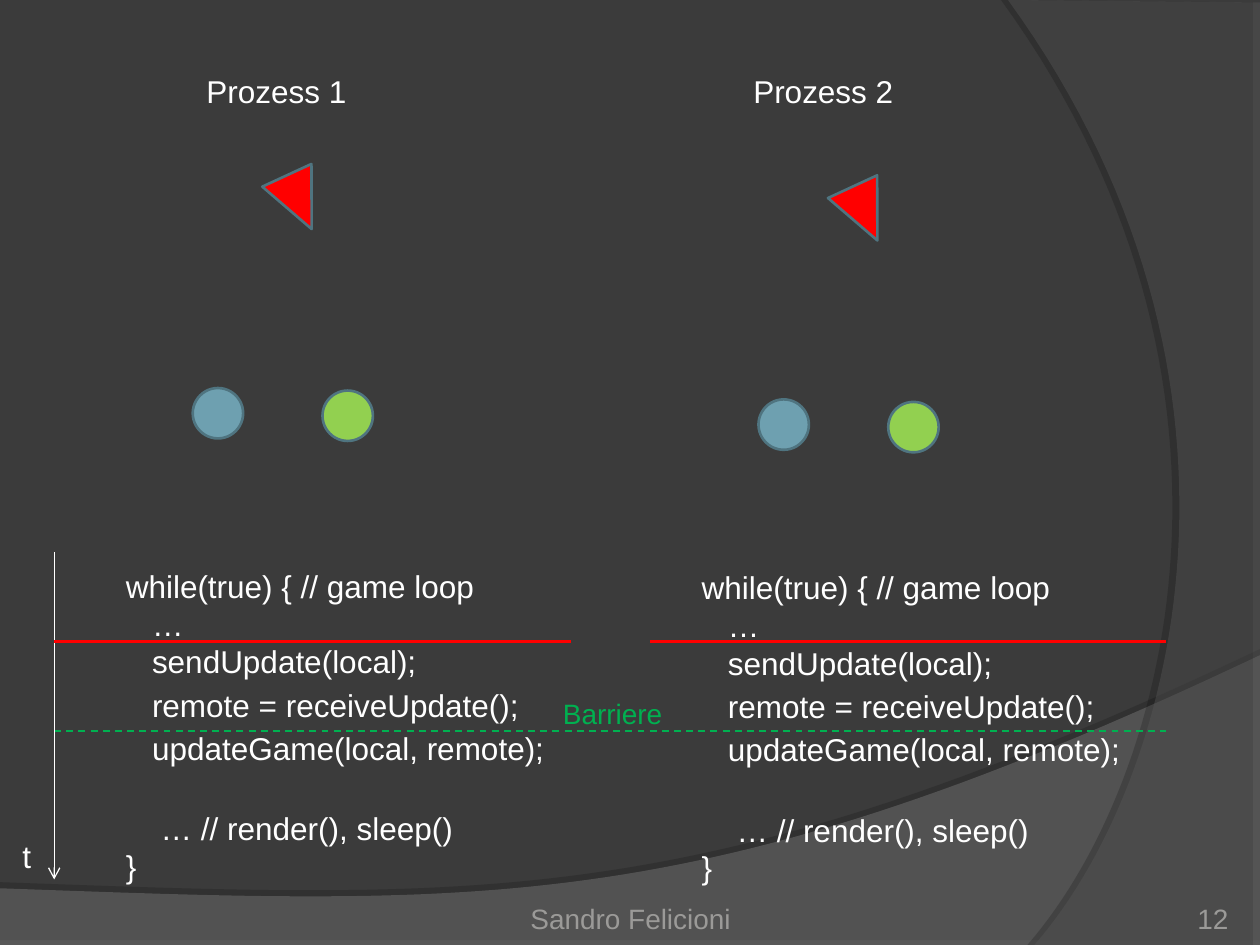
from lxml import etree
from pptx import Presentation
from pptx.dml.color import RGBColor
from pptx.enum.dml import MSO_LINE
from pptx.enum.shapes import MSO_CONNECTOR, MSO_SHAPE
from pptx.enum.text import MSO_ANCHOR, MSO_AUTO_SIZE, PP_ALIGN
from pptx.oxml.ns import qn
from pptx.util import Inches, Pt

STRAIGHT = MSO_CONNECTOR.STRAIGHT
DASH = MSO_LINE.DASH
OVAL = MSO_SHAPE.OVAL
TRIANGLE = MSO_SHAPE.ISOSCELES_TRIANGLE
TOP, BOTTOM = MSO_ANCHOR.TOP, MSO_ANCHOR.BOTTOM
LEFT, CENTER, RIGHT = PP_ALIGN.LEFT, PP_ALIGN.CENTER, PP_ALIGN.RIGHT
FIT = MSO_AUTO_SIZE.SHAPE_TO_FIT_TEXT
FIXED = MSO_AUTO_SIZE.NONE

DARK = RGBColor(0x3B, 0x3B, 0x3B)
GRAY = RGBColor(0x7C, 0x7C, 0x7C)
SLATE = RGBColor(0x59, 0x59, 0x59)
MUTED = RGBColor(0x9B, 0x9A, 0x98)
WHITE = RGBColor(0xFF, 0xFF, 0xFF)
RED = RGBColor(0xFF, 0x00, 0x00)
GREEN = RGBColor(0x00, 0xB0, 0x50)
LIME = RGBColor(0x92, 0xD0, 0x50)
BLUE = RGBColor(0x6E, 0xA0, 0xB0)
EDGE = RGBColor(0x4F, 0x74, 0x80)

# Each line: text, space before, space after (points)
CODE = [
    ("while(true) { // game loop", 0, 0),
    ("   …", 0, 0),
    ("   sendUpdate(local);", 0, 3),
    ("   remote = receiveUpdate();", 0, 3),
    ("   updateGame(local, remote);", 0, 3),
    ("    … // render(), sleep()", 21.6, 0),
    ("}", 0, 0),
]
INSET = (0.1, 0.05, 0.1, 0.05)


def add_text(slide, box, lines, size=18, color=WHITE, align=LEFT,
             anchor=TOP, inset=INSET, wrap=True, fit=FIT):
    """Lines are (text, space before, space after)."""
    frame = slide.shapes.add_textbox(*map(Inches, box)).text_frame
    frame.word_wrap = wrap
    frame.auto_size = fit
    frame.vertical_anchor = anchor
    (frame.margin_left, frame.margin_top,
     frame.margin_right, frame.margin_bottom) = map(Inches, inset)
    for i, (text, before, after) in enumerate(lines):
        para = frame.add_paragraph() if i else frame.paragraphs[0]
        para.alignment = align
        if before:
            para.space_before = Pt(before)
        if after:
            para.space_after = Pt(after)
        run = para.add_run()
        run.text = text
        run.font.name = "Arial"
        run.font.size = Pt(size)
        run.font.color.rgb = color


def add_label(slide, box, text, **style):
    add_text(slide, box, [(text, 0, 0)], **style)


def add_line(slide, start, end, color, width, dash=None, arrow=False):
    line = slide.shapes.add_connector(
        STRAIGHT, *map(Inches, (*start, *end)))
    line.line.color.rgb = color
    line.line.width = Pt(width)
    if dash:
        line.line.dash_style = dash
    if arrow:
        tip = etree.SubElement(line.line._get_or_add_ln(), qn("a:tailEnd"))
        tip.set("type", "arrow")
    etree.SubElement(line._element.spPr, qn("a:effectLst"))


def add_mark(slide, kind, box, color, turn=0):
    mark = slide.shapes.add_shape(kind, *map(Inches, box))
    mark.shadow.inherit = False
    mark.fill.solid()
    mark.fill.fore_color.rgb = color
    mark.line.color.rgb = EDGE
    mark.line.width = Pt(1.5)
    mark.rotation = turn


def curve(p0, p1, p2, p3, steps=60):
    """Points along a cubic Bezier curve."""
    points = []
    for i in range(steps + 1):
        t = i / steps
        u = 1 - t
        points.append(tuple(
            u**3 * a + 3 * u * u * t * b + 3 * u * t * t * c + t**3 * d
            for a, b, c, d in zip(p0, p1, p2, p3)))
    return points


def add_wave(slide, points, color, alpha, shade, dist, angle):
    """Translucent backdrop with a hard outer shadow."""
    spots = [(Inches(x), Inches(y)) for x, y in points]
    draft = slide.shapes.build_freeform(*spots[0])
    draft.add_line_segments(spots[1:], close=True)
    wave = draft.convert_to_shape()
    wave.fill.solid()
    wave.fill.fore_color.rgb = color
    wave.line.fill.background()
    wave.shadow.inherit = False
    props = wave._element.spPr
    tint = props.find(qn("a:solidFill"))[0]
    etree.SubElement(tint, qn("a:alpha")).set("val", str(alpha * 1000))
    cast = etree.SubElement(
        props.find(qn("a:effectLst")), qn("a:outerShdw"),
        blurRad="0", dist=str(Pt(dist)), dir=str(angle * 60000),
        algn="ctr", rotWithShape="0")
    black = etree.SubElement(cast, qn("a:srgbClr"), val="000000")
    etree.SubElement(black, qn("a:alpha")).set("val", str(shade * 1000))


def add_scene(slide, dx, dy):
    """Two balls and a triangle, moved by dx and dy."""
    add_mark(slide, OVAL, (1.53 + dx, 3.08 + dy, 0.4, 0.4), BLUE)
    add_mark(slide, OVAL, (2.56 + dx, 3.1 + dy, 0.4, 0.4), LIME)
    add_mark(slide, TRIANGLE, (2.16 + dx, 1.37 + dy, 0.43, 0.47), RED, 155.2)


def main():
    deck = Presentation()
    deck.slide_width, deck.slide_height = Inches(10), Inches(7.5)
    slide = deck.slides.add_slide(deck.slide_layouts[6])
    slide.background.fill.solid()
    slide.background.fill.fore_color.rgb = DARK

    sweep = curve((10, 5.2), (5.59, 7.29), (3.91, 7.19), (0, 7.05))
    add_wave(slide, [(0, 7.51), (10, 7.51), *sweep], GRAY, 45, 35, 3.5, 270)
    arc = curve((8.21, 7.5), (9.35, 6.19), (10.18, 3), (8, 0))
    add_wave(slide, [(10, 0.02), (10, 7.5), *arc], SLATE, 40, 45, 4, 180)

    add_label(slide, (4.37, 5.48, 1.26, 0.37), "Barriere",
              size=16, color=GREEN)
    add_line(slide, (0.43, 5.8), (9.25, 5.8), GREEN, 1, dash=DASH)

    foot = dict(size=16, color=MUTED, anchor=BOTTOM, fit=FIXED)
    add_label(slide, (8.92, 7.02, 0.83, 0.4), "12",
              align=RIGHT, inset=(0, 0, 0, 0), **foot)
    add_label(slide, (3.42, 7.02, 3.17, 0.4), "Sandro Felicioni",
              align=CENTER, inset=(0, 0.05, 0, 0), **foot)

    add_scene(slide, 0, 0)
    add_scene(slide, 4.49, 0.09)
    for name, head, left, top in (("Prozess 1", 1.54, 0.9, 4.45),
                                  ("Prozess 2", 5.88, 5.47, 4.46)):
        add_label(slide, (head, 0.52, 1.31, 0.4), name, wrap=False)
        add_text(slide, (left, top, 3.62, 2.63), CODE)

    add_line(slide, (0.43, 4.38), (0.43, 6.98), WHITE, 0.75, arrow=True)
    add_label(slide, (0.08, 6.59, 0.27, 0.4), "t", wrap=False)
    for start, end in ((0.43, 4.53), (5.16, 9.25)):
        add_line(slide, (start, 5.09), (end, 5.09), RED, 2)

    deck.save("out.pptx")


if __name__ == "__main__":
    main()
